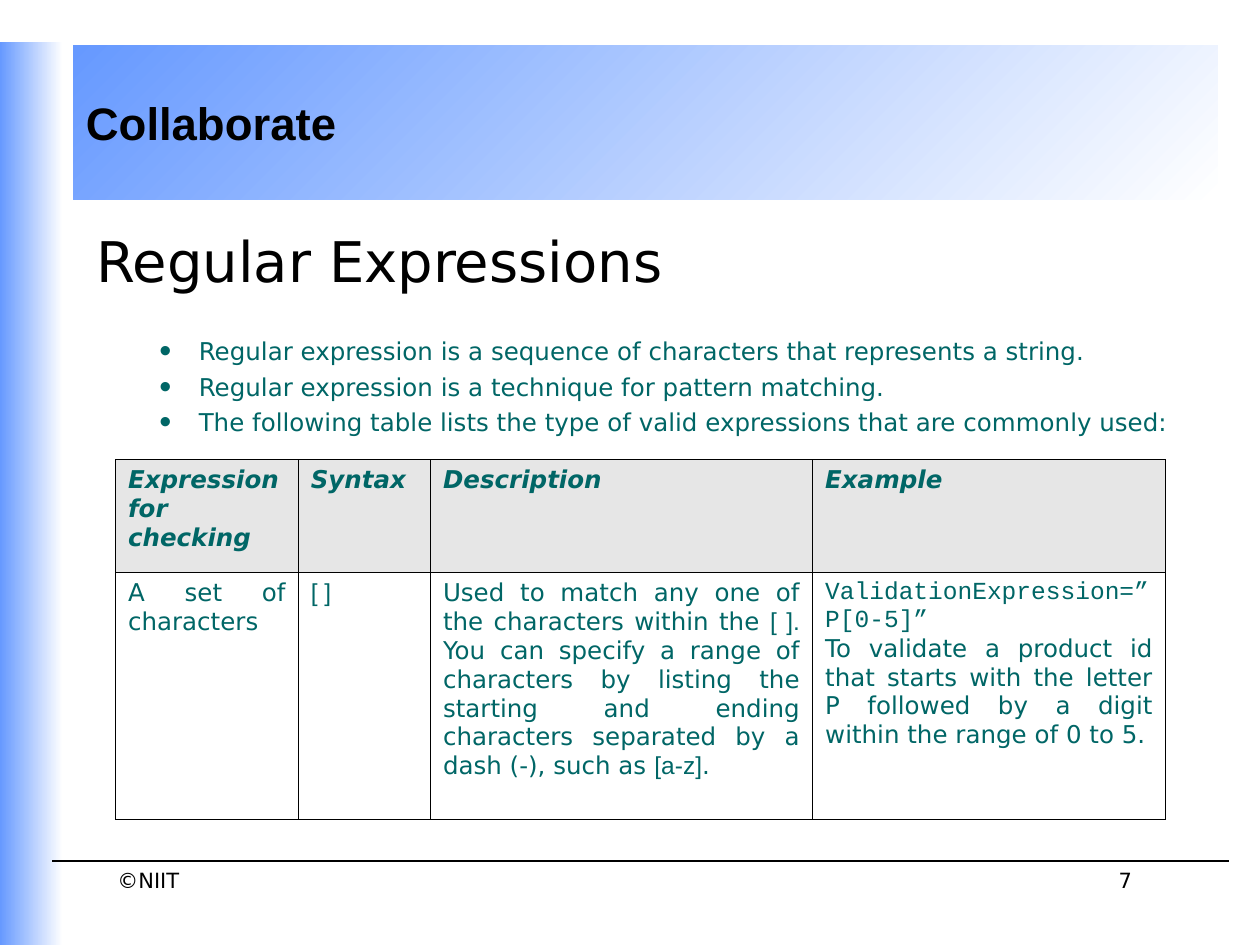
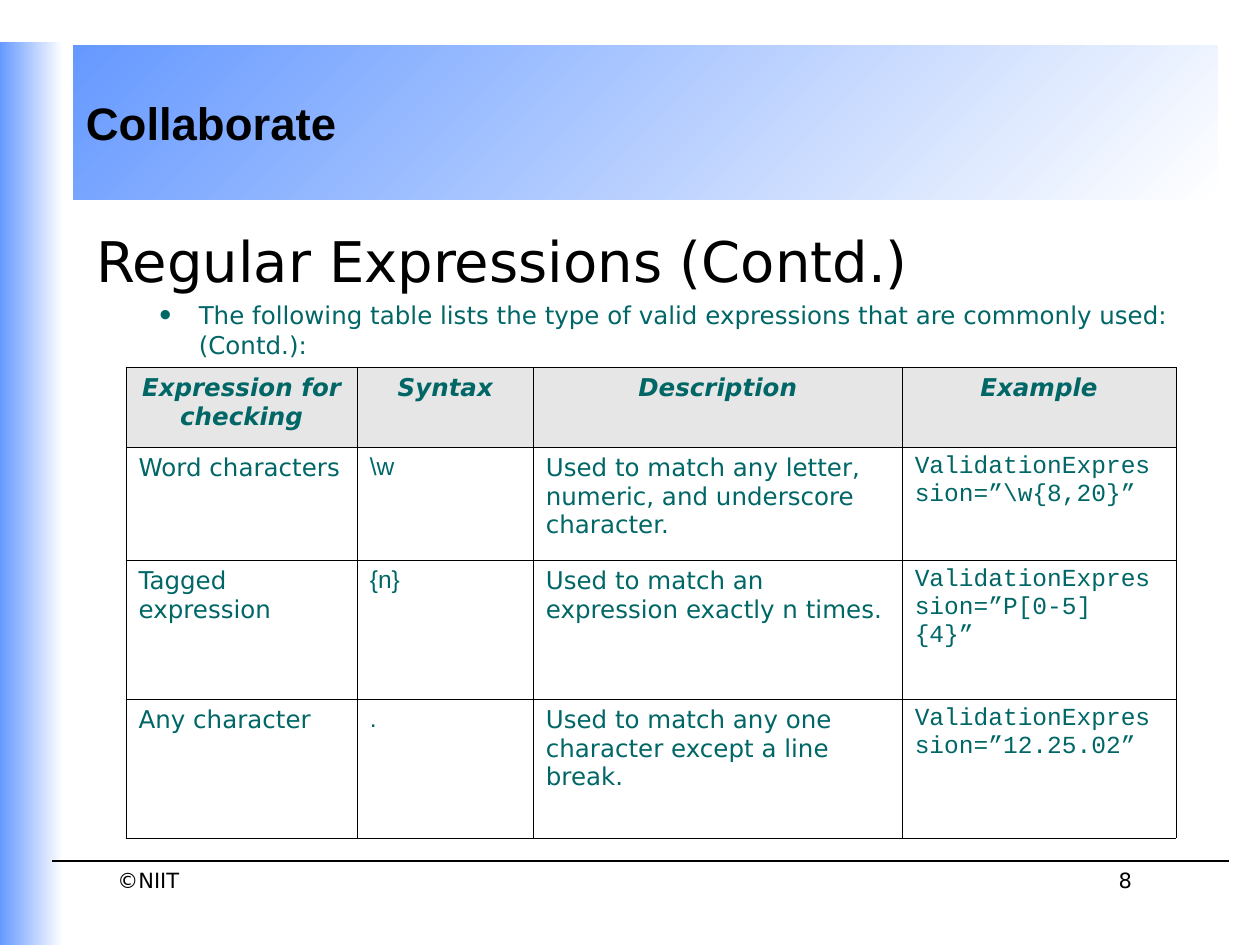
from dataclasses import dataclass

from lxml import etree
from pptx import Presentation
from pptx import util as u
from pptx.dml import color as col
from pptx.enum import shapes, text
from pptx.oxml import ns

Pt = u.Pt
ALIGN = text.PP_ALIGN
ANCHOR = text.MSO_ANCHOR


@dataclass(frozen=True)
class Theme:
    ink: str = "000000"
    teal: str = "006666"
    blue: str = "6699FF"
    white: str = "FFFFFF"
    grey: str = "E6E6E6"
    sans: str = "DejaVu Sans"
    arial: str = "Arial"
    code: str = "Courier New"
    title: int = 32
    brand: int = 26
    body: int = 14
    foot: int = 12
    rule: float = 0.75
    grid: float = 0.45


def apply(obj, vals):
    for name, val in vals.items():
        setattr(obj, name, val)


def add_tag(parent, tag, **attrs):
    return etree.SubElement(parent, ns.qn(tag), attrs)


class Deck:
    def __init__(self, theme):
        self.theme = theme
        self.prs = Presentation()
        apply(self.prs, {"slide_width": Pt(720), "slide_height": Pt(540)})
        self.slide = None

    # Text
    def put(self, para, runs, size, color, align=ALIGN.LEFT, **style):
        """Runs are one string in the sans face, or a list of (string, face)."""
        para.alignment = align
        if isinstance(runs, str):
            runs = [(runs, self.theme.sans)]
        for words, face in runs:
            run = para.add_run()
            run.text = words
            apply(run.font, {"name": face, "size": Pt(size), **style})
            run.font.color.rgb = col.RGBColor.from_string(color)

    def frame(self, shape, anchor=ANCHOR.TOP):
        apply(shape.text_frame, {
            "word_wrap": True, "auto_size": text.MSO_AUTO_SIZE.NONE,
            "vertical_anchor": anchor,
            "margin_left": Pt(7.2), "margin_right": Pt(7.2),
            "margin_top": Pt(3.6), "margin_bottom": Pt(3.6)})
        return shape.text_frame

    def box(self, x, y, w, h):
        area = [Pt(n) for n in (x, y, w, h)]
        return self.frame(self.slide.shapes.add_textbox(*area))

    def label(self, words, x, y, w, h, align=ALIGN.LEFT):
        para = self.box(x, y, w, h).paragraphs[0]
        self.put(para, words, self.theme.foot, self.theme.ink, align)

    def title(self, words):
        shape = self.slide.shapes.title
        apply(shape, {"left": Pt(48), "top": Pt(126),
                      "width": Pt(636), "height": Pt(45)})
        para = self.frame(shape).paragraphs[0]
        self.put(para, words, self.theme.title, self.theme.ink)

    def bullets(self, items, y, h):
        th = self.theme
        frame = self.box(48, y, 636, h)
        for i, item in enumerate(items):
            para = frame.add_paragraph() if i else frame.paragraphs[0]
            prop = para._p.get_or_add_pPr()
            for name, val in {"marL": 58.5, "indent": -22.5}.items():
                prop.set(name, str(int(Pt(val))))
            add_tag(add_tag(prop, "a:buClr"), "a:srgbClr", val=th.teal)
            add_tag(prop, "a:buSzPct", val="140000")
            add_tag(prop, "a:buFont", typeface=th.arial)
            add_tag(prop, "a:buChar", char="•")
            if i:
                para.space_before = Pt(3.5)
            self.put(para, item, th.body, th.teal)

    # Shapes
    def band(self, x, y, w, h, angle):
        area = [Pt(n) for n in (x, y, w, h)]
        shape = self.slide.shapes.add_shape(
            shapes.MSO_SHAPE.RECTANGLE, *area)
        shape.shadow.inherit = False
        shape.line.fill.background()
        shape.fill.gradient()
        shape.fill.gradient_angle = angle
        tones = (self.theme.white, self.theme.blue)
        for stop, tone in zip(shape.fill.gradient_stops, tones):
            stop.color.rgb = col.RGBColor.from_string(tone)
        return shape

    def rule(self, x1, x2, y):
        line = self.slide.shapes.add_connector(
            shapes.MSO_CONNECTOR.STRAIGHT, Pt(x1), Pt(y), Pt(x2), Pt(y))
        line.line.width = Pt(self.theme.rule)
        line.line.color.rgb = col.RGBColor.from_string(self.theme.ink)
        add_tag(line._element.spPr, "a:effectLst")

    # Table
    def border(self, cell):
        prop = cell._tc.get_or_add_tcPr()
        for i, side in enumerate(("a:lnL", "a:lnR", "a:lnT", "a:lnB")):
            edge = etree.Element(ns.qn(side), w=str(int(Pt(self.theme.grid))))
            fill = add_tag(edge, "a:solidFill")
            add_tag(fill, "a:srgbClr", val=self.theme.ink)
            prop.insert(i, edge)

    def table(self, rows, x, y, widths, heights, head, body):
        """Each cell is one paragraph's runs, or a tuple of paragraphs."""
        th = self.theme
        table = self.slide.shapes.add_table(
            len(rows), len(widths), Pt(x), Pt(y),
            Pt(sum(widths)), Pt(sum(heights))).table
        apply(table, {"first_row": False, "horz_banding": False})
        for part, size in zip(table.columns, widths):
            part.width = Pt(size)
        for part, size in zip(table.rows, heights):
            part.height = Pt(size)
        for r, row in enumerate(rows):
            top = r == 0
            for c, paras in enumerate(row):
                cell = table.cell(r, c)
                if top:
                    cell.fill.solid()
                    cell.fill.fore_color.rgb = col.RGBColor.from_string(
                        th.grey)
                else:
                    cell.fill.background()
                self.border(cell)
                frame = cell.text_frame
                paras = paras if isinstance(paras, tuple) else (paras,)
                for i, runs in enumerate(paras):
                    para = frame.add_paragraph() if i else frame.paragraphs[0]
                    self.put(para, runs, th.body, th.teal,
                             head if top else body, bold=top, italic=top)

    # Slide with the shared bands, title and footer
    def page(self, words, number):
        self.slide = self.prs.slides.add_slide(self.prs.slide_layouts[5])
        brand = self.band(42, 26, 654, 88, 135)
        para = self.frame(brand, ANCHOR.MIDDLE).paragraphs[0]
        self.put(para, [("Collaborate", self.theme.arial)],
                 self.theme.brand, self.theme.ink, bold=True)
        self.band(0, 24, 36, 516, 180)
        self.title(words)
        self.rule(30, 702, 492)
        self.label("©NIIT", 60, 492, 162, 30)
        self.label(str(number), 480, 492, 174, 36, ALIGN.RIGHT)


def main():
    th = Theme()
    deck = Deck(th)
    heads = ["Expression for checking", "Syntax", "Description", "Example"]
    intro = ("The following table lists the type of valid expressions "
             "that are commonly used:")

    def plain(words):
        return [(words, th.arial)]

    def code(words):
        return [(f"ValidationExpression=”{words}”", th.code)]

    # Regular expressions: sets of characters
    deck.page("Regular Expressions", 7)
    deck.bullets([
        "Regular expression is a sequence of characters that represents "
        "a string.",
        "Regular expression is a technique for pattern matching.",
        intro], 188.5, 70)
    usage = [
        ("Used to match any one of the characters within the ", th.sans),
        ("[ ].", th.arial),
        (" You can specify a range of characters by listing the starting "
         "and ending characters separated by a dash (-), such as ", th.sans),
        ("[a-z]", th.arial),
        (".", th.sans)]
    sample = (code("P[0-5]"),
              "To validate a product id that starts with the letter P "
              "followed by a digit within the range of 0 to 5.")
    deck.table([heads, ["A set of characters", plain("[ ]"), usage, sample]],
               66, 262.5, [104.4, 75.6, 218.4, 201.6], [64.8, 141],
               ALIGN.LEFT, ALIGN.JUSTIFY)

    # Regular expressions: words, tags and any character
    deck.page("Regular Expressions (Contd.)", 8)
    deck.bullets([intro + " (Contd.):"], 168, 42)
    deck.table([
        heads,
        ["Word characters", plain(r"\w"),
         "Used to match any letter, numeric, and underscore character.",
         code(r"\w{8,20}")],
        ["Tagged expression", plain("{n}"),
         "Used to match an expression exactly n times.",
         code("P[0-5] {4}")],
        ["Any character", plain("."),
         "Used to match any one character except a line break.",
         code("12.25.02")]],
        72, 210, [132.2, 100.6, 210.8, 156.4], [45.6, 64.6, 79.4, 79.4],
        ALIGN.CENTER, ALIGN.LEFT)

    deck.prs.save("out.pptx")


if __name__ == "__main__":
    main()
